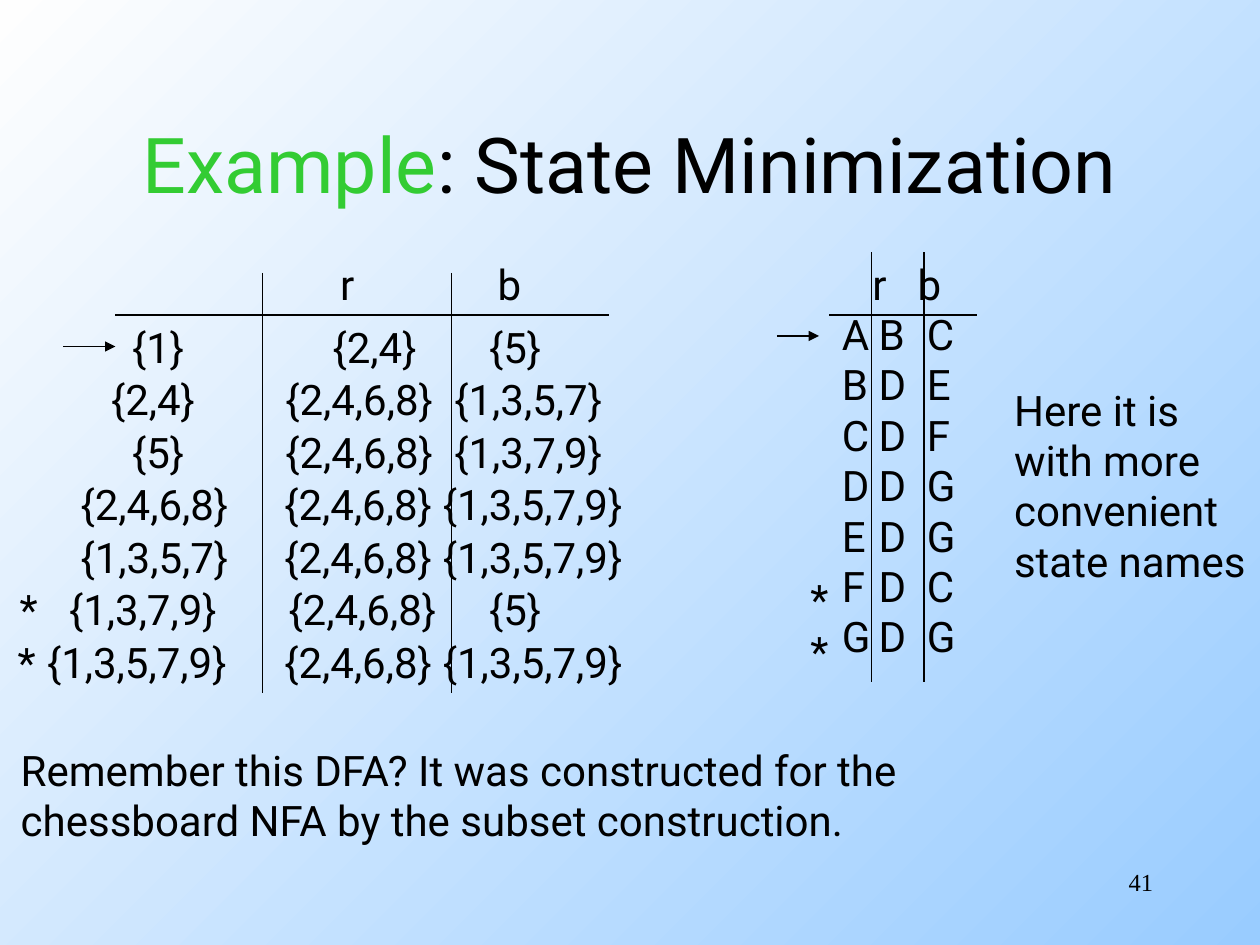
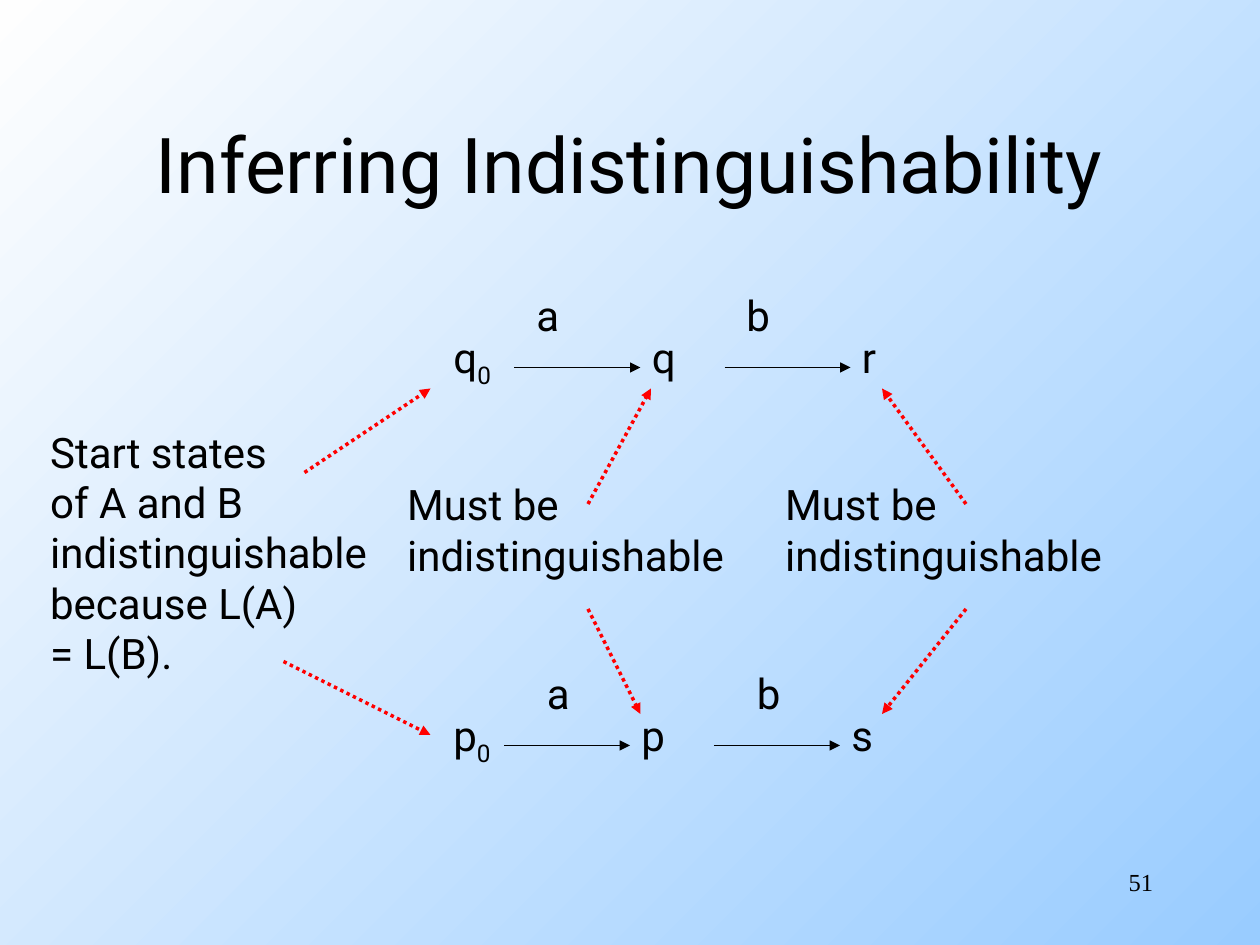
from lxml.etree import SubElement
from pptx import Presentation
from pptx.dml.color import RGBColor
from pptx.enum.dml import MSO_LINE
from pptx.enum.shapes import MSO_CONNECTOR
from pptx.enum.text import MSO_ANCHOR, PP_ALIGN
from pptx.oxml.ns import qn
from pptx.util import Inches, Pt

COLORS = {"ink": "000000", "accent": "33CC33", "alert": "FF0000", "sky": "99CCFF", "light": "FEFEFE"}
FORMATS = {
    "title": {"name": "Roboto", "size": Pt(44)},
    "body": {"name": "Roboto", "size": Pt(24)},
    "number": {"name": "Times New Roman", "size": Pt(14)},
}
LINES = {
    "rule": {"width": Pt(0.74)},
    "dotted": {"width": Pt(2), "dash_style": MSO_LINE.ROUND_DOT},
}

deck = Presentation()
deck.slide_width, deck.slide_height = Inches(10), Inches(7.5)
CELL = deck.slide_width / 120


def add_text(page, area, lines, style="body", align=PP_ALIGN.LEFT, tabs=()):
    box = page.shapes.add_textbox(*(round(value * CELL) for value in area))
    frame = box.text_frame
    frame.word_wrap = True
    for index, line in enumerate(lines):
        para = frame.paragraphs[0] if index == 0 else frame.add_paragraph()
        para.alignment = align
        if tabs:
            stops = SubElement(para._p.get_or_add_pPr(), qn("a:tabLst"))
            for stop in tabs:
                SubElement(stops, qn("a:tab"), pos=str(round(stop * CELL)), algn="l")
        for text, color, baseline in [(line, "ink", 0)] if isinstance(line, str) else line:
            span = para.add_run()
            span.text = text
            for name, value in FORMATS[style].items():
                setattr(span.font, name, value)
            span.font.color.rgb = RGBColor.from_string(COLORS[color])
            if baseline:
                span.font._element.set("baseline", str(baseline))
    return frame


def add_line(page, ends, color="ink", style="rule", arrow=False):
    line = page.shapes.add_connector(MSO_CONNECTOR.STRAIGHT, *(round(value * CELL) for value in ends))
    line.line.color.rgb = RGBColor.from_string(COLORS[color])
    for name, value in LINES[style].items():
        setattr(line.line, name, value)
    properties = line.element.spPr
    if arrow:
        SubElement(properties.find(qn("a:ln")), qn("a:tailEnd"), type="triangle")
    SubElement(properties, qn("a:effectLst"))


pages = []
for title, number in [
    ([("Example", "accent", 0), (": State Minimization", "ink", 0)], "41"),
    ("Inferring Indistinguishability", "51"),
]:
    page = deck.slides.add_slide(deck.slide_layouts[6])
    fill = page.background.fill
    fill.gradient()
    fill.gradient_angle = 135
    for stop, color in zip(fill.gradient_stops, ("sky", "light")):
        stop.color.rgb = RGBColor.from_string(COLORS[color])
    frame = add_text(page, (9, 8, 102, 15), [title], "title", PP_ALIGN.CENTER)
    frame.vertical_anchor = MSO_ANCHOR.MIDDLE
    add_text(page, (86, 82, 25, 6), [number], "number", PP_ALIGN.RIGHT)
    pages.append(page)
minimization, inference = pages

add_text(minimization, (31.2, 24, 20, 6), ["r\tb"], tabs=[15])
subset_rows = [
    ("{1}", 11.4, 7.7, 0, "{2,4}\t{5}", 30.5, 23.6, 14.9),
    ("{2,4}", 9.4, 11, 0, "{2,4,6,8}\t{1,3,5,7}", 26, 35.3, 16.1),
    ("{5}", 11.4, 7.7, 0, "{2,4,6,8}\t{1,3,7,9}", 26, 35.3, 16.1),
    ("{2,4,6,8}", 6.5, 17.8, 0, "{2,4,6,8}\t{1,3,5,7,9}", 25.9, 37.6, 15.1),
    ("{1,3,5,7}", 6.5, 17.8, 0, "{2,4,6,8}\t{1,3,5,7,9}", 25.9, 37.6, 15.1),
    ("*\t{1,3,7,9}", 0.7, 23.2, 4.7, "{2,4,6,8}\t{5}", 26.3, 28.3, 19.1),
    ("*\t{1,3,5,7,9}", 0.5, 24.4, 2.8, "{2,4,6,8}\t{1,3,5,7,9}", 25.9, 37.6, 15.1),
]
for index, (state, left, width, tab, moves, moves_left, moves_width, moves_tab) in enumerate(subset_rows):
    top = 30 + 5 * index
    add_text(minimization, (left, top, width, 6), [state], tabs=[tab] if tab else ())
    add_text(minimization, (moves_left, top, moves_width, 6), [moves], tabs=[moves_tab])

add_text(minimization, (79, 24, 14.3, 6), ["\tr\tb"], tabs=[2.9, 7.2])
letter_rows = ["ABC", "BDE", "CDF", "DDG", "EDG", "FDC", "GDG"]
add_text(minimization, (79, 28.8, 14.3, 34.8), ["\t".join(row) for row in letter_rows], tabs=[3.5, 8.1])
for top in (54, 59):
    add_text(minimization, (76, top, 4.6, 6), ["*"])

for ends in [
    (11, 30, 58, 30), (25, 26, 25, 66), (43, 26, 43, 66),
    (79, 30, 93, 30), (83, 24, 83, 65), (88, 24, 88, 65),
]:
    add_line(minimization, ends)
for ends in [(6, 33, 11, 33), (74, 32, 78, 32)]:
    add_line(minimization, ends, arrow=True)

add_text(minimization, (95.4, 36, 25.3, 20.4), ["Here it is", "with more", "convenient", "state names"])
add_text(minimization, (0.8, 70.3, 90.7, 10.8), [
    "Remember this DFA? It was constructed for the",
    "chessboard NFA by the subset construction.",
])

for top, states, state_left, label_left, arrow_left in [
    (31, "qqr", 60.9, 49.9, 49),
    (67, "pps", 59.9, 50.9, 48),
]:
    start, *following = states
    add_text(inference, (42, top, 6.1, 6.7), [[(start, "ink", 0), ("0", "ink", -25000)]])
    for step, (symbol, state) in enumerate(zip("ab", following)):
        shift = 20 * step
        add_text(inference, (label_left + shift, top - 4, 4.8, 6), [symbol])
        add_text(inference, (state_left + shift, top, 4.8, 6), [state])
        add_line(inference, (arrow_left + shift, top + 4, arrow_left + shift + 12, top + 4), arrow=True)

add_text(inference, (3.6, 40, 34.6, 25.2), [
    "Start states", "of A and B", "indistinguishable", "because L(A)", "= L(B).",
])
for left in (37.6, 73.6):
    add_text(inference, (left, 45, 34.6, 10.8), ["Must be", "indistinguishable"])
for ends in [
    (29, 45, 41, 37), (27, 63, 41, 70),
    (56, 48, 62, 37), (56, 58, 61, 68),
    (92, 48, 84, 37), (92, 58, 84, 68),
]:
    add_line(inference, ends, "alert", "dotted", arrow=True)

deck.save("out.pptx")
